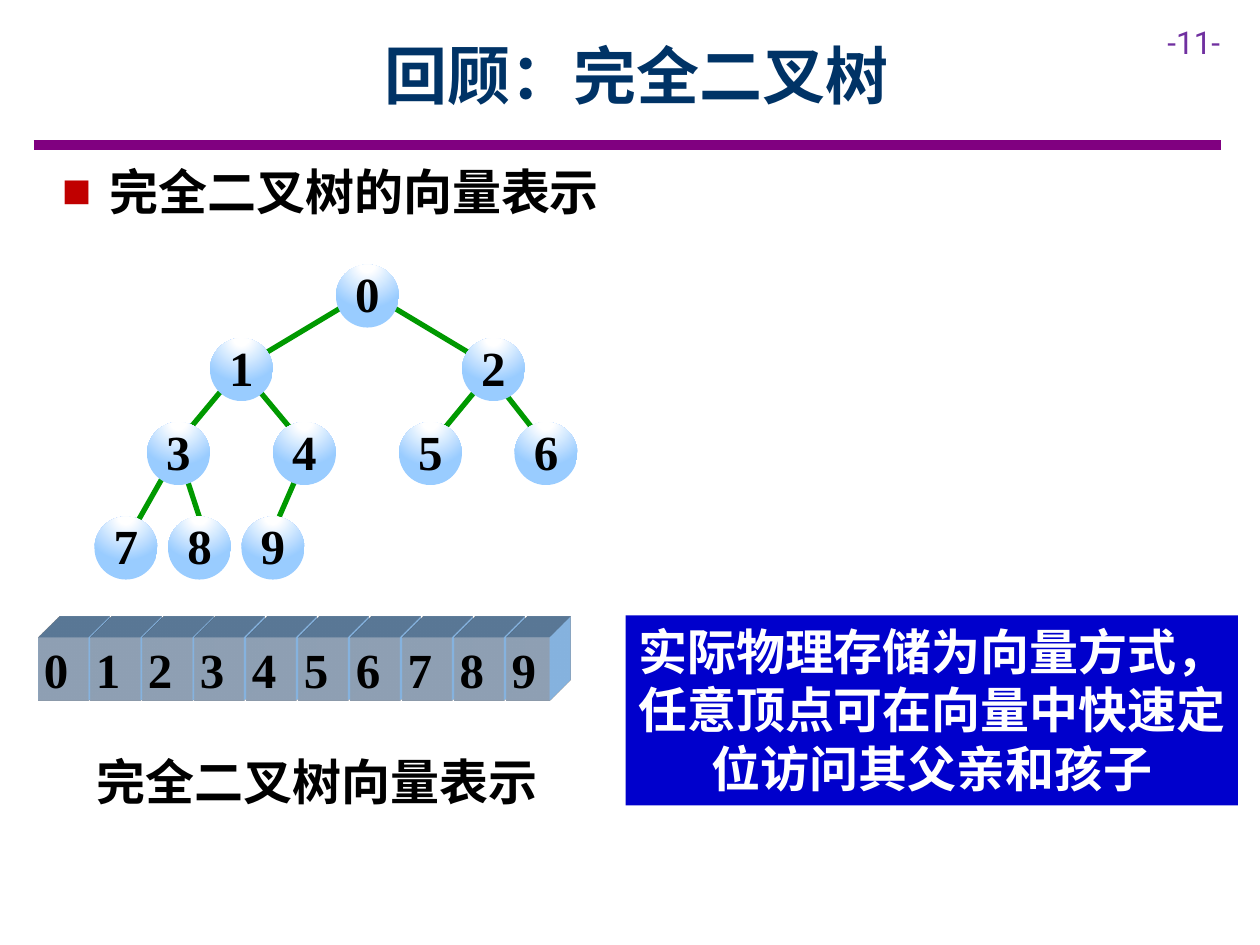
import dataclasses

import lxml.etree
import pptx
import pptx.dml.color
import pptx.enum.shapes
import pptx.enum.text
import pptx.oxml
import pptx.oxml.ns
import pptx.util

MSO = pptx.enum.shapes.MSO_SHAPE
ALIGN = pptx.enum.text.PP_ALIGN
ANCHOR = pptx.enum.text.MSO_ANCHOR
AUTO = pptx.enum.text.MSO_AUTO_SIZE
NS = pptx.oxml.ns.nsdecls("a")
COLUMNS, ROWS = 120, 90


@dataclasses.dataclass(frozen=True)
class Theme:
    cjk: str = "Noto Sans CJK SC"
    digits: str = "Times New Roman"
    number: str = "Roboto"
    title_size: int = 36
    body_size: int = 28
    number_size: int = 18
    line_pitch: float = 33.5
    title: str = "003366"
    text: str = "000000"
    page: str = "7030A0"
    rule: str = "800080"
    bullet: str = "C00000"
    edge: str = "009900"
    node: str = "99CCFF"
    cell: str = "CAE2FF"
    note: str = "0000CC"
    white: str = "FFFFFF"


T = Theme()

LEVEL_ROWS = (25.2, 32.2, 40.2, 49.2)
LEVEL_COLUMNS = ((32,), (20, 44), (14, 26, 38, 49), (9, 16, 23))
NODE_SIZE = 6
EDGES = (
    (33.5, 28.7, 23.5, 34.7),
    (36.5, 28.7, 46, 34.4),
    (21.5, 36.7, 16.5, 42.7),
    (23.5, 35.8, 28, 41.2),
    (46.2, 36.1, 41.5, 41.8),
    (47.5, 36.7, 51.5, 41.8),
    (16.5, 43.7, 13.1, 49.7),
    (17.5, 44.7, 19.3, 50.2),
    (29, 43.7, 26.6, 49.2),
)


def rgb(value):
    return pptx.dml.color.RGBColor.from_string(value)


def grid(prs, *lengths):
    units = (prs.slide_width / COLUMNS, prs.slide_height / ROWS)
    return [round(n * units[i % 2]) for i, n in enumerate(lengths)]


def add_xml(parent, markup):
    parent.append(pptx.oxml.parse_xml(markup))


def write(sp, text, font, size, color, bold=True, align=ALIGN.CENTER,
          anchor=ANCHOR.TOP, wrap=True, grow=True):
    tf = sp.text_frame
    tf.text = text
    tf.word_wrap = wrap
    tf.vertical_anchor = anchor
    tf.auto_size = AUTO.SHAPE_TO_FIT_TEXT if grow else AUTO.NONE
    p = tf.paragraphs[0]
    p.alignment = align
    r = p.runs[0]
    r.font.name = font
    r.font.size = pptx.util.Pt(size)
    r.font.bold = bold
    r.font.color.rgb = rgb(color)
    ea = lxml.etree.SubElement(r.font._element, pptx.oxml.ns.qn("a:ea"))
    ea.set("typeface", font)
    return p


def add_text(prs, s, box, *args, **kwargs):
    sp = s.shapes.add_textbox(*grid(prs, *box))
    return write(sp, *args, **kwargs)


def add_body(prs, s, box, text, align=ALIGN.CENTER):
    p = add_text(prs, s, box, text, T.cjk, T.body_size, T.text, align=align)
    p.line_spacing = pptx.util.Pt(T.line_pitch)
    p.space_after = pptx.util.Pt(6)
    return p


def add_bullet(p):
    pPr = p._p.get_or_add_pPr()
    indent = pptx.util.Inches(0.38)
    pPr.set("marL", str(indent))
    pPr.set("indent", str(-indent))
    add_xml(pPr, f'<a:buClr {NS}><a:srgbClr val="{T.bullet}"/></a:buClr>')
    add_xml(pPr, f'<a:buFont {NS} typeface="{T.digits}"/>')
    add_xml(pPr, f'<a:buChar {NS} char="■"/>')


def add_line(prs, s, ends, color, width):
    kind = pptx.enum.shapes.MSO_CONNECTOR.STRAIGHT
    c = s.shapes.add_connector(kind, *grid(prs, *ends))
    c.line.color.rgb = rgb(color)
    c.line.width = pptx.util.Pt(width)
    add_xml(c._element.spPr, f"<a:effectLst {NS}/>")


def add_shape(prs, s, kind, box):
    sp = s.shapes.add_shape(kind, *grid(prs, *box))
    sp.shadow.inherit = False
    sp.line.fill.background()
    return sp


def add_node(prs, s, column, row, label):
    sp = add_shape(prs, s, MSO.OVAL, (column, row, NODE_SIZE, NODE_SIZE))
    stops = "".join(
        f'<a:gs pos="{pos}"><a:srgbClr val="{color}"/></a:gs>'
        for pos, color in ((0, T.white), (18000, T.white), (100000, T.node)))
    geometry = sp._element.spPr.find(pptx.oxml.ns.qn("a:prstGeom"))
    geometry.addnext(pptx.oxml.parse_xml(
        f'<a:gradFill {NS} rotWithShape="1"><a:gsLst>{stops}</a:gsLst>'
        '<a:path path="circle"><a:fillToRect l="50000" t="-80000" '
        'r="50000" b="180000"/></a:path></a:gradFill>'))
    add_text(prs, s, (column + 0.6, row - 0.7, 4.8, 6.8), label, T.digits,
             T.body_size, T.text, anchor=ANCHOR.MIDDLE, wrap=False)


def add_tree(prs, s):
    for ends in EDGES:
        add_line(prs, s, ends, T.edge, 3)
    places = [(column, row) for row, columns in zip(LEVEL_ROWS, LEVEL_COLUMNS)
              for column in columns]
    for i, (column, row) in enumerate(places):
        add_node(prs, s, column, row, str(i))


def add_cell(prs, s, box, label):
    sp = add_shape(prs, s, MSO.RECTANGLE, box)
    sp.fill.solid()
    sp.fill.fore_color.rgb = rgb(T.cell)
    sp.line.color.rgb = rgb(T.white)
    sp.line.width = pptx.util.Pt(1.5)
    spPr = sp._element.spPr
    add_xml(spPr, f'<a:scene3d {NS}><a:camera prst="legacyObliqueTopRight"/>'
                  '<a:lightRig rig="legacyFlat3" dir="b"/></a:scene3d>')
    add_xml(spPr, f'<a:sp3d {NS} extrusionH="430200" prstMaterial="legacyMatte">'
                  f'<a:extrusionClr><a:srgbClr val="{T.node}"/></a:extrusionClr>'
                  '</a:sp3d>')
    write(sp, label, T.digits, T.body_size, T.text, align=ALIGN.LEFT,
          anchor=ANCHOR.MIDDLE, wrap=False, grow=False)
    tf = sp.text_frame
    inset = pptx.util.Inches(0.04)
    tf.margin_left = tf.margin_right = inset
    tf.margin_top = tf.margin_bottom = inset


def add_vector(prs, s, count=10, left=3.7, top=60.7, pitch=4.95):
    for i in range(count):
        width = 4.7 if i < count - 1 else 4.1
        add_cell(prs, s, (left + i * pitch, top, width, 6), str(i))


def add_note(prs, s, box, text):
    sp = add_shape(prs, s, MSO.RECTANGLE, box)
    sp.fill.solid()
    sp.fill.fore_color.rgb = rgb(T.note)
    p = write(sp, text, T.cjk, T.body_size, T.white)
    p.line_spacing = pptx.util.Pt(T.line_pitch)
    sp.text_frame.margin_left = sp.text_frame.margin_right = pptx.util.Inches(0.05)


def main():
    prs = pptx.Presentation()
    prs.slide_width = pptx.util.Inches(10)
    prs.slide_height = pptx.util.Inches(7.5)
    s = prs.slides.add_slide(prs.slide_layouts[6])
    add_line(prs, s, (3.2, 13.8, 116.3, 13.8), T.rule, 6)
    add_text(prs, s, (110, 1.6, 10, 4.8), "-11-", T.number, T.number_size,
             T.page, bold=False, align=ALIGN.LEFT)
    add_text(prs, s, (10.8, 1.1, 99.7, 12), "回顾：完全二叉树", T.cjk,
             T.title_size, T.title, anchor=ANCHOR.MIDDLE, grow=False)
    add_bullet(add_body(prs, s, (4.7, 14.8, 67.3, 6.8), "完全二叉树的向量表示",
                        ALIGN.LEFT))
    add_body(prs, s, (3.8, 71, 52.8, 6.8), "完全二叉树向量表示")
    add_tree(prs, s)
    add_vector(prs, s)
    add_note(prs, s, (59.6, 58.6, 58.3, 18.1),
             "实际物理存储为向量方式，任意顶点可在向量中快速定位访问其父亲和孩子")
    prs.save("out.pptx")


if __name__ == "__main__":
    main()
